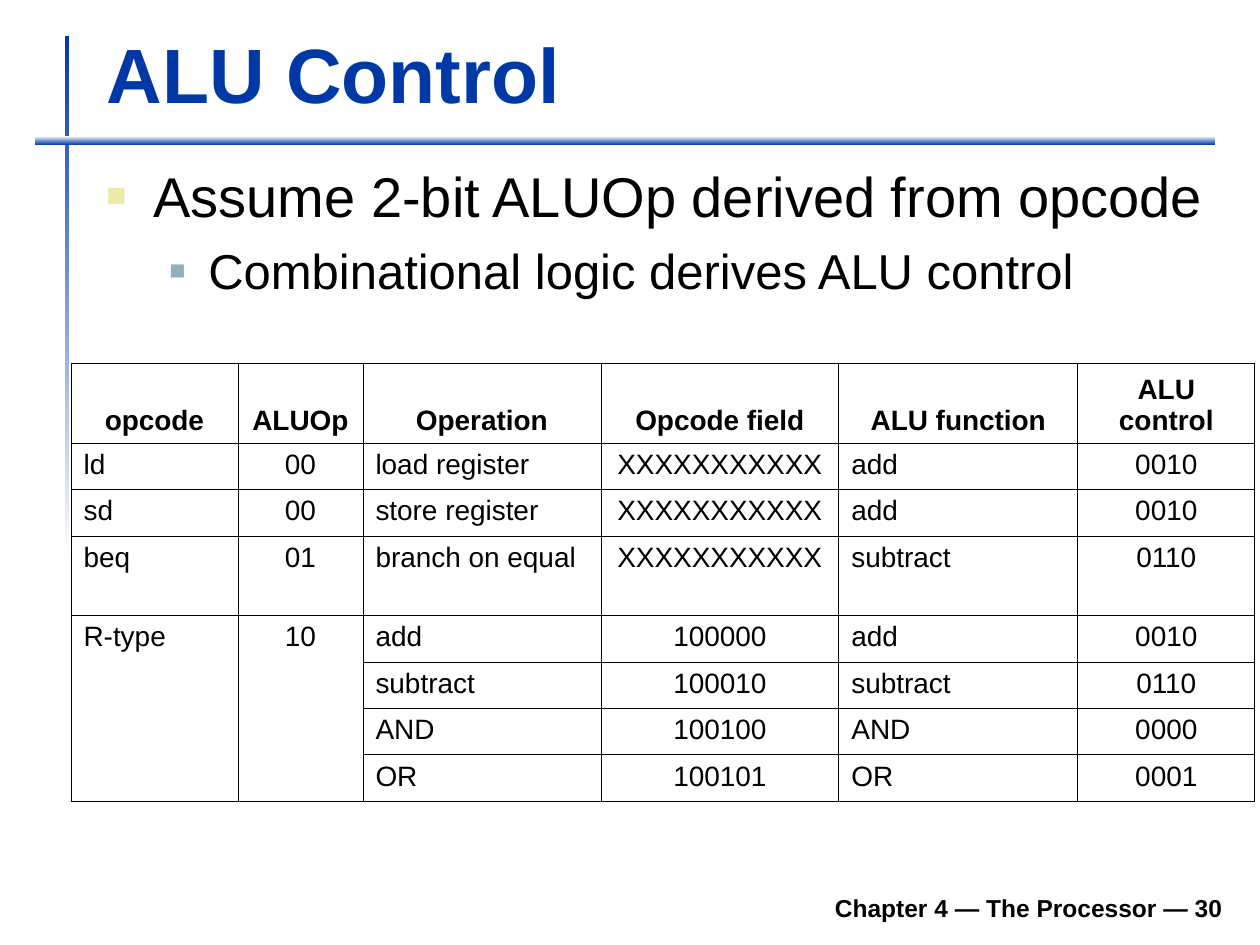
from lxml.etree import SubElement
from pptx import Presentation
from pptx.dml.color import RGBColor
from pptx.enum.shapes import MSO_SHAPE
from pptx.enum.text import MSO_ANCHOR as Anchor, PP_ALIGN as Align
from pptx.oxml.ns import qn
from pptx.util import Pt

BLUE = RGBColor(0x00, 0x39, 0xA6)
BLACK = RGBColor(0x00, 0x00, 0x00)
WHITE = RGBColor(0xFF, 0xFF, 0xFF)
SAND = RGBColor(0xEC, 0xEA, 0xAC)
STEEL = RGBColor(0x91, 0xAF, 0xBF)
SCALE = 914400 / 126


def emu(*lengths):
    return [round(length * SCALE) for length in lengths]


def style(para, size, color=BLACK, bold=False, align=Align.LEFT):
    para.alignment = align
    for span in para.runs:
        span.font.name = "Arial"
        span.font.size = Pt(size)
        span.font.bold = bold
        span.font.color.rgb = color


deck = Presentation()
deck.slide_width, deck.slide_height = emu(1260, 945)
page = deck.slides.add_slide(deck.slide_layouts[5])

for place, angle in [((65, 36, 4, 525), 270), ((35, 136, 1180, 9), 90)]:
    bar = page.shapes.add_shape(MSO_SHAPE.RECTANGLE, *emu(*place))
    bar.shadow.inherit = False
    bar.line.fill.background()
    bar.fill.gradient()
    bar.fill.gradient_angle = angle
    for stop, position, color in zip(bar.fill.gradient_stops, (0, 1), (BLUE, WHITE)):
        stop.position = position
        stop.color.rgb = color

footer = page.shapes.add_textbox(*emu(233, 880, 1002, 49))
footer.text_frame.word_wrap = True
footer.text_frame.vertical_anchor = Anchor.BOTTOM
footer.text_frame.text = "Chapter 4 — The Processor — 30"
style(footer.text_frame.paragraphs[0], 14, bold=True, align=Align.RIGHT)

title = page.shapes.title
title.left, title.top, title.width, title.height = emu(94, 20, 1138, 105)
title.text_frame.text = "ALU Control"
title.text_frame.vertical_anchor = Anchor.BOTTOM
style(title.text_frame.paragraphs[0], 44, BLUE, bold=True)

body = page.shapes.add_textbox(*emu(94, 155, 1139, 704))
body.text_frame.word_wrap = True
body.text_frame.text = "Assume 2-bit ALUOp derived from opcode\nCombinational logic derives ALU control"
bullets = [(32, 8, 47, 47, SAND, 60), (28, 7, 102, 39, STEEL, 55)]
for level, (para, bullet) in enumerate(zip(body.text_frame.paragraphs, bullets)):
    size, before, margin, hanging, color, percent = bullet
    style(para, size)
    para.level = level
    para.space_before = Pt(before)
    props = para._p.get_or_add_pPr()
    margin, hanging = emu(margin, hanging)
    props.set("marL", str(margin))
    props.set("indent", str(-hanging))
    SubElement(SubElement(props, qn("a:buClr")), qn("a:srgbClr"), val=str(color))
    SubElement(props, qn("a:buSzPct"), val=str(percent * 1000))
    SubElement(props, qn("a:buFont"), typeface="Arial")
    SubElement(props, qn("a:buChar"), char="■")

rows = [
    ("opcode", "ALUOp", "Operation", "Opcode field", "ALU function", "ALU control"),
    ("ld", "00", "load register", "XXXXXXXXXXX", "add", "0010"),
    ("sd", "00", "store register", "XXXXXXXXXXX", "add", "0010"),
    ("beq", "01", "branch on equal", "XXXXXXXXXXX", "subtract", "0110"),
    ("R-type", "10", "add", "100000", "add", "0010"),
    ("", "", "subtract", "100010", "subtract", "0110"),
    ("", "", "AND", "100100", "AND", "0000"),
    ("", "", "OR", "100101", "OR", "0001"),
]
widths = [167, 125, 238, 238, 239, 177]
heights = [80, 46, 47, 79, 47, 46, 46, 47]
frame = page.shapes.add_table(
    len(rows), len(widths), *emu(71, 363, sum(widths), sum(heights))
)
table = frame.table
table.first_row = table.horz_banding = False
for column, width in zip(table.columns, emu(*widths)):
    column.width = width
for row, height in zip(table.rows, emu(*heights)):
    row.height = height

for r, texts in enumerate(rows):
    for c, text in enumerate(texts):
        header = r == 0
        cell = table.cell(r, c)
        cell.text = text
        cell.vertical_anchor = Anchor.BOTTOM if header else Anchor.TOP
        para = cell.text_frame.paragraphs[0]
        para.space_before = Pt(4)
        style(para, 16, bold=header, align=Align.CENTER if header or c % 2 else Align.LEFT)
        props = cell._tc.get_or_add_tcPr()
        for side in ("a:lnL", "a:lnR", "a:lnT", "a:lnB"):
            line = SubElement(props, qn(side), w=str(Pt(0.45)))
            SubElement(SubElement(line, qn("a:solidFill")), qn("a:srgbClr"), val=str(BLACK))
        cell.fill.background()

for c in (0, 1):
    table.cell(4, c).merge(table.cell(7, c))

deck.save("out.pptx")
